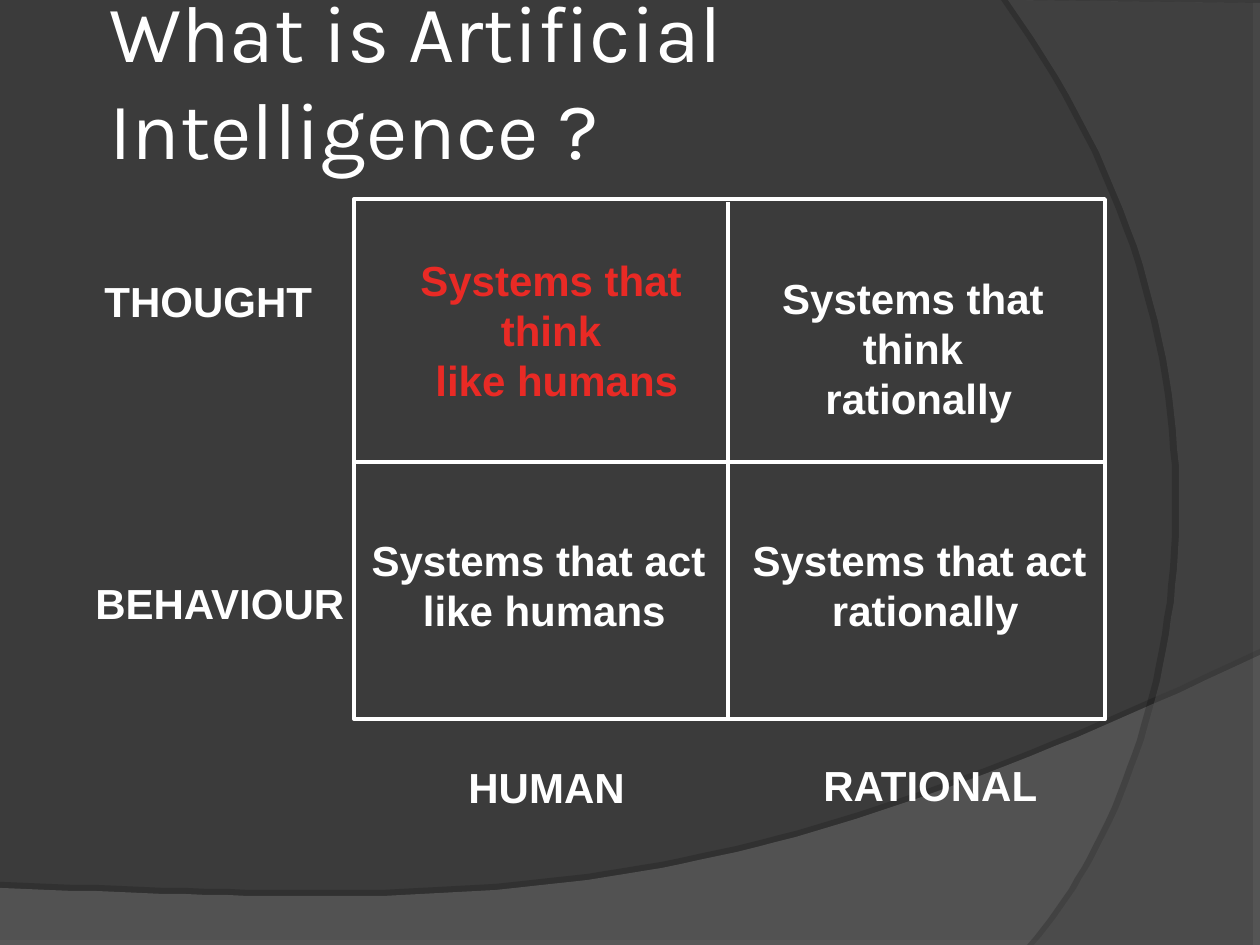
from lxml import etree
from pptx import Presentation
from pptx.dml.color import RGBColor
from pptx.enum.shapes import MSO_CONNECTOR, MSO_SHAPE
from pptx.enum.text import MSO_ANCHOR, MSO_AUTO_SIZE, PP_ALIGN
from pptx.oxml.ns import qn
from pptx.util import Pt

SCALE = 914400 / 126  # EMU per px
LEFT, CENTER = PP_ALIGN.LEFT, PP_ALIGN.CENTER
MIDDLE, TOP = MSO_ANCHOR.MIDDLE, MSO_ANCHOR.TOP
NO_FIT = MSO_AUTO_SIZE.NONE
STRAIGHT, RECTANGLE = MSO_CONNECTOR.STRAIGHT, MSO_SHAPE.RECTANGLE
COLORS = {"back": "3B3B3B", "hill": "7C7C7C", "side": "595959",
          "shadow": "000000", "text": "FFFFFF", "accent": "E92A25"}


def emu(*lengths):
    return [round(length * SCALE) for length in lengths]


def rgb(name):
    return RGBColor.from_string(COLORS[name])


def bezier(start, first, second, end, steps=60):
    """Points on a cubic curve, without its start."""
    points = []
    for step in range(1, steps + 1):
        t = step / steps
        weights = (1 - t) ** 3, 3 * t * (1 - t) ** 2, 3 * t * t * (1 - t), t ** 3
        points.append(tuple(sum(w * p[axis] for w, p in
                                zip(weights, (start, first, second, end)))
                            for axis in (0, 1)))
    return points


class SlideBuilder:
    def __init__(self, slide):
        self.slide = slide
        self.shapes = slide.shapes
        fill = slide.background.fill
        fill.solid()
        fill.fore_color.rgb = rgb("back")

    def begin_group(self):
        self.shapes = self.slide.shapes.add_group_shape().shapes

    def end_group(self):
        self.shapes = self.slide.shapes

    def add_text(self, frame, text, font, size, color, bold, align, anchor, inset):
        frame.auto_size = NO_FIT
        frame.vertical_anchor = anchor
        frame.margin_left = frame.margin_right = Pt(inset)
        frame.margin_top = frame.margin_bottom = Pt(3.6)
        para = frame.paragraphs[0]
        para.alignment = align
        for index, line in enumerate(text.split("\n")):
            if index:
                para.add_line_break()
            span = para.add_run()
            span.text = line
            span.font.name = font
            span.font.size = Pt(size)
            span.font.bold = bold
            span.font.color.rgb = rgb(color)

    def title(self, text, *place):
        box = self.slide.shapes.title
        box.left, box.top, box.width, box.height = emu(*place)
        box.text_frame.word_wrap = True
        self.add_text(box.text_frame, text, "Karla", 46, "text", False, LEFT, MIDDLE, 3.6)
        # Bring the title in front of the backdrop
        box.element.getparent().append(box.element)

    def label(self, text, *place, color="text", align=LEFT, wrap=False):
        box = self.shapes.add_textbox(*emu(*place))
        box.text_frame.word_wrap = wrap
        self.add_text(box.text_frame, text, "Arial", 24, color, True, align, TOP, 7.2)

    def outline(self, shape):
        shape.line.color.rgb = rgb("text")
        shape.line.width = Pt(2.25)

    def line(self, *ends):
        line = self.shapes.add_connector(STRAIGHT, *emu(*ends))
        self.outline(line)
        etree.SubElement(line.element.spPr, qn("a:effectLst"))

    def frame(self, *place):
        box = self.shapes.add_shape(RECTANGLE, *emu(*place))
        box.shadow.inherit = False
        box.fill.background()
        self.outline(box)

    def backdrop(self, points, color, opacity, shade, distance, angle):
        pen = self.shapes.build_freeform(*points[0], scale=SCALE)
        pen.add_line_segments(points[1:], close=True)
        area = pen.convert_to_shape()
        area.fill.solid()
        area.fill.fore_color.rgb = rgb(color)
        area.line.fill.background()
        area.shadow.inherit = False
        properties = area.element.spPr
        tint = properties.find(qn("a:solidFill"))[0]
        etree.SubElement(tint, qn("a:alpha"), val=str(opacity * 1000))
        shadow = etree.SubElement(
            properties.find(qn("a:effectLst")), qn("a:outerShdw"), blurRad="0",
            dist=str(int(Pt(distance))), dir=str(angle * 60000), algn="ctr",
            rotWithShape="0")
        tone = etree.SubElement(shadow, qn("a:srgbClr"), val=COLORS["shadow"])
        etree.SubElement(tone, qn("a:alpha"), val=str(shade * 1000))


def main():
    deck = Presentation()
    deck.slide_width, deck.slide_height = emu(1260, 945)
    page = SlideBuilder(deck.slides.add_slide(deck.slide_layouts[5]))

    # Curved backdrop
    hill = [(0, 888), (0, 946), (1260, 946), (1260, 655)]
    hill += bezier(hill[-1], (704, 919), (493, 906), hill[0])
    page.backdrop(hill, "hill", 45, 35, 3.5, 270)
    side = [(1260, 3), (1260, 945), (1034, 945)]
    side += bezier(side[-1], (1178, 780), (1283, 378), (1008, 0))
    page.backdrop(side, "side", 40, 45, 4, 180)

    page.title("What is Artificial Intelligence ?", 103, 0, 1071, 158)

    # Two by two board
    page.begin_group()
    page.line(353, 462, 1104, 462)
    page.line(728, 202, 728, 719)
    page.frame(354, 199, 751, 520)
    page.label("Systems that act\n rationally", 740, 528, 359, 113, align=CENTER)
    page.label("Systems that think\n like humans", 378, 248, 346, 164,
               color="accent", align=CENTER, wrap=True)
    page.label("Systems that think\n rationally", 724, 266, 378, 164,
               align=CENTER, wrap=True)
    page.label("Systems that act\n like humans", 359, 528, 359, 113, align=CENTER)
    page.end_group()

    # Axis labels
    for text, left, top, width in (("THOUGHT", 92, 269, 233),
                                   ("BEHAVIOUR", 83, 571, 277),
                                   ("HUMAN", 456, 755, 181),
                                   ("RATIONAL", 811, 753, 242)):
        page.label(text, left, top, width, 63)

    deck.save("out.pptx")


if __name__ == "__main__":
    main()
